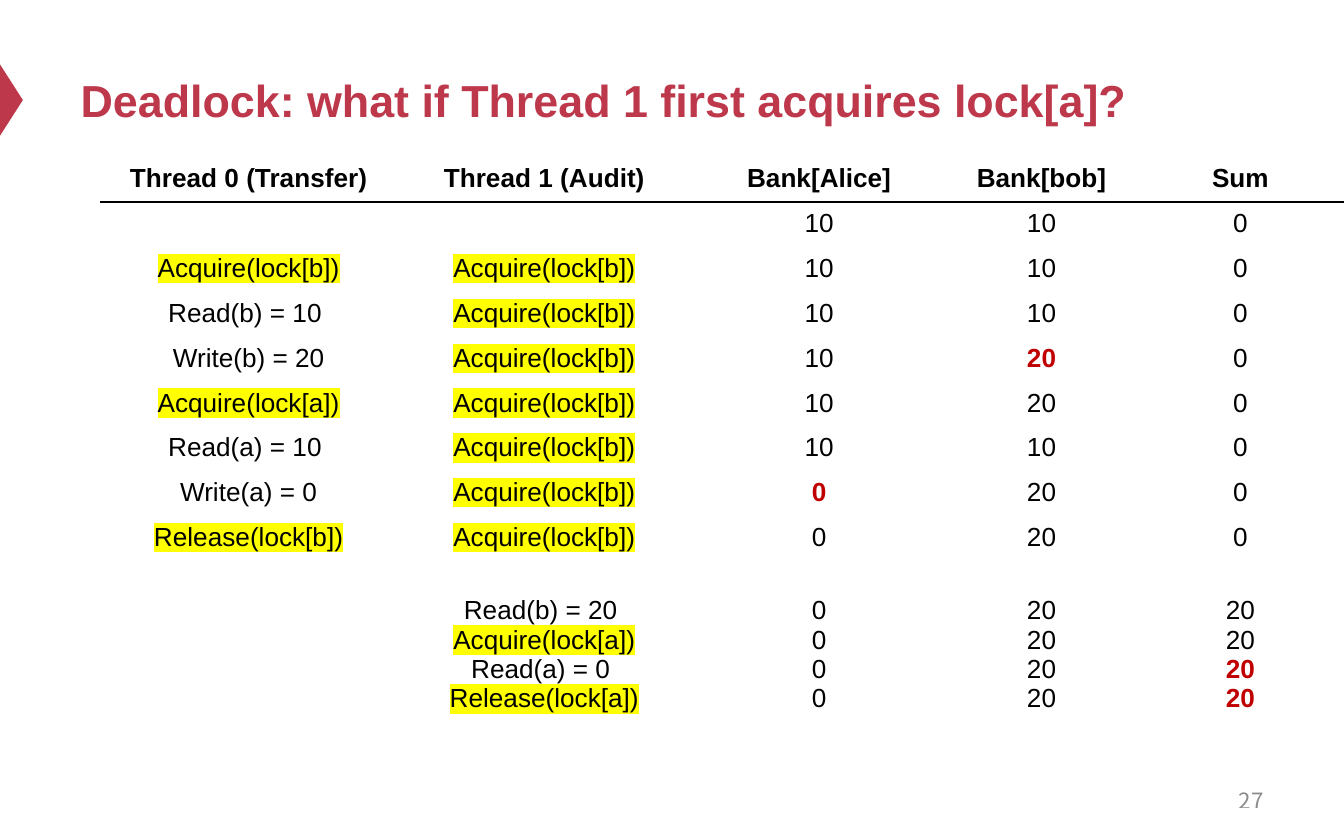
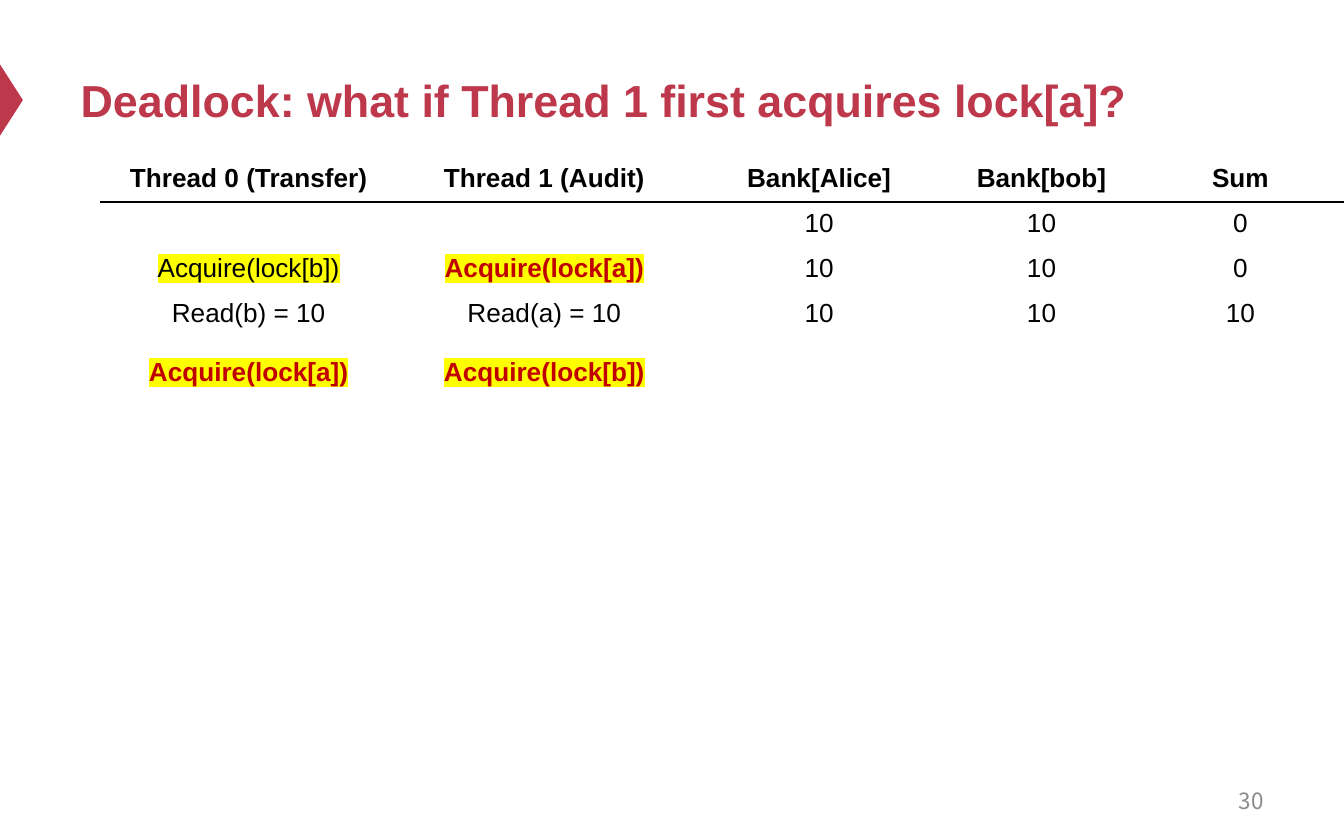
from lxml import etree
from pptx import Presentation
from pptx.dml.color import RGBColor
from pptx.enum.shapes import MSO_SHAPE
from pptx.enum.text import MSO_ANCHOR, PP_ALIGN
from pptx.oxml.ns import qn
from pptx.util import Inches, Pt

TRIANGLE = MSO_SHAPE.ISOSCELES_TRIANGLE
MIDDLE = MSO_ANCHOR.MIDDLE
LEFT, CENTER, RIGHT = PP_ALIGN.LEFT, PP_ALIGN.CENTER, PP_ALIGN.RIGHT

COLORS = {
    "accent": "BE384B",
    "text": "000000",
    "changed": "C00000",
    "lock": "FFFF00",
    "number": "8C8C8C",
    "paper": "FFFFFF",
}
BODY_FONT = "Arial"
NUMBER_FONT = "Noto Sans CJK SC"
CELL_SIZE = 14

TITLE = "Deadlock: what if Thread 1 first acquires lock[a]?"
HEADER = ["Thread 0 (Transfer)", "Thread 1 (Audit)", "Bank[Alice]", "Bank[bob]", "Sum"]
COLUMN_WIDTHS = [2.2, 2.2, 1.89, 1.42, 1.54]
ROW_COUNT = 13
ROW_HEIGHT, EMPTY_ROW_HEIGHT = 0.32, 0.4

# A leading "*" marks a line in bold red; a line break starts a new paragraph.
TRANSFER_FIRST = [
    ["", "", "10", "10", "0"],
    ["Acquire(lock[b])", "Acquire(lock[b])", "10", "10", "0"],
    ["Read(b) = 10 ", "Acquire(lock[b])", "10", "10", "0"],
    ["Write(b) = 20", "Acquire(lock[b])", "10", "*20", "0"],
    ["Acquire(lock[a])", "Acquire(lock[b])", "10", "20", "0"],
    ["Read(a) = 10 ", "Acquire(lock[b])", "10", "10", "0"],
    ["Write(a) = 0", "Acquire(lock[b])", "*0", "20", "0"],
    ["Release(lock[b])", "Acquire(lock[b])", "0", "20", "0"],
    ["", "Read(b) = 20 \nAcquire(lock[a])\nRead(a) = 0 \nRelease(lock[a])",
     "0\n0\n0\n0", "20\n20\n20\n20", "20\n20\n*20\n*20"],
]
DEADLOCK = [
    ["", "", "10", "10", "0"],
    ["Acquire(lock[b])", "*Acquire(lock[a])", "10", "10", "0"],
    ["Read(b) = 10\n*Acquire(lock[a])", "Read(a) = 10\n*Acquire(lock[b])", "10", "10", "10"],
]


def rgb(name):
    return RGBColor.from_string(COLORS[name])


def add_color(parent, tag, name):
    """Append a colour-holding element such as a:solidFill or a:highlight."""
    holder = etree.SubElement(parent, qn(tag))
    etree.SubElement(holder, qn("a:srgbClr"), val=COLORS[name])


class Deck:
    def __init__(self):
        self.prs = Presentation()
        self.prs.slide_width = Inches(10)
        self.prs.slide_height = Inches(6.25)
        self.slide = None

    def new_slide(self, title, number):
        self.slide = self.prs.slides.add_slide(self.prs.slide_layouts[5])
        self.marker()
        self.title(title)
        self.page_number(number)

    def style(self, paragraph, size, color, align, bold=False, font=BODY_FONT):
        paragraph.alignment = align
        paragraph.font.size = Pt(size)
        paragraph.font.bold = bold
        paragraph.font.name = font
        paragraph.font.color.rgb = rgb(color)

    def marker(self):
        marker = self.slide.shapes.add_shape(
            TRIANGLE, Inches(-0.18), Inches(0.66), Inches(0.53), Inches(0.17))
        marker.rotation = 90
        marker.shadow.inherit = False
        marker.fill.solid()
        marker.fill.fore_color.rgb = rgb("accent")
        marker.line.fill.background()

    def title(self, text):
        title = self.slide.shapes.title
        title.left, title.top = Inches(0.5), Inches(0.25)
        title.width, title.height = Inches(9), Inches(0.98)
        title.text_frame.text = text
        title.text_frame.vertical_anchor = MIDDLE
        self.style(title.text_frame.paragraphs[0], 24, "accent", LEFT, bold=True)

    def page_number(self, number):
        box = self.slide.shapes.add_textbox(
            Inches(7.17), Inches(5.79), Inches(2.33), Inches(0.33))
        frame = box.text_frame
        frame.word_wrap = True
        frame.vertical_anchor = MIDDLE
        frame.text = str(number)
        self.style(frame.paragraphs[0], 12, "number", RIGHT, font=NUMBER_FONT)

    def trace_table(self, rows, last_height, last_top=0.05, line_gap=0):
        """Draw the thread trace; the last filled row holds several lines."""
        heights = [ROW_HEIGHT] * len(rows) + [last_height]
        heights += [EMPTY_ROW_HEIGHT] * (ROW_COUNT - len(heights))
        frame = self.slide.shapes.add_table(
            ROW_COUNT, len(HEADER), Inches(0.75), Inches(1.17),
            Inches(sum(COLUMN_WIDTHS)), Inches(sum(heights)))
        table = frame.table
        table.first_row = table.horz_banding = False
        for column, width in zip(table.columns, COLUMN_WIDTHS):
            column.width = Inches(width)
        for row, height in zip(table.rows, heights):
            row.height = Inches(height)

        lines = [HEADER] + rows
        for r in range(ROW_COUNT):
            for c in range(len(HEADER)):
                cell = table.cell(r, c)
                self.borders(cell, r)
                cell.fill.background()
                if r == len(rows):
                    cell.margin_top = Inches(last_top)
                text = lines[r][c] if r < len(lines) else ""
                self.cell_text(cell, text, r == 0, line_gap)

    def borders(self, cell, row):
        properties = cell._tc.get_or_add_tcPr()
        header_edge = {0: "a:lnB", 1: "a:lnT"}.get(row)
        for tag in ("a:lnL", "a:lnR", "a:lnT", "a:lnB"):
            edge = etree.SubElement(properties, qn(tag), w=str(Pt(1)))
            add_color(edge, "a:solidFill", "text" if tag == header_edge else "paper")

    def cell_text(self, cell, text, is_header, line_gap):
        cell.text = text.replace("*", "")
        for i, (paragraph, line) in enumerate(
                zip(cell.text_frame.paragraphs, text.split("\n"))):
            changed = line.startswith("*")
            self.style(paragraph, CELL_SIZE, "changed" if changed else "text",
                       CENTER, bold=is_header or changed)
            if i and line_gap:
                paragraph.space_before = Pt(line_gap)
            if not line:
                etree.SubElement(paragraph._p, qn("a:endParaRPr"), sz=str(CELL_SIZE * 100))
            elif "lock[" in line:
                add_color(paragraph.runs[0]._r.get_or_add_rPr(), "a:highlight", "lock")


def main():
    deck = Deck()
    deck.new_slide(TITLE, 27)
    deck.trace_table(TRANSFER_FIRST, last_height=1.44, last_top=0.26)
    deck.new_slide(TITLE, 30)
    deck.trace_table(DEADLOCK, last_height=0.76, line_gap=16)
    deck.prs.save("out.pptx")


if __name__ == "__main__":
    main()
